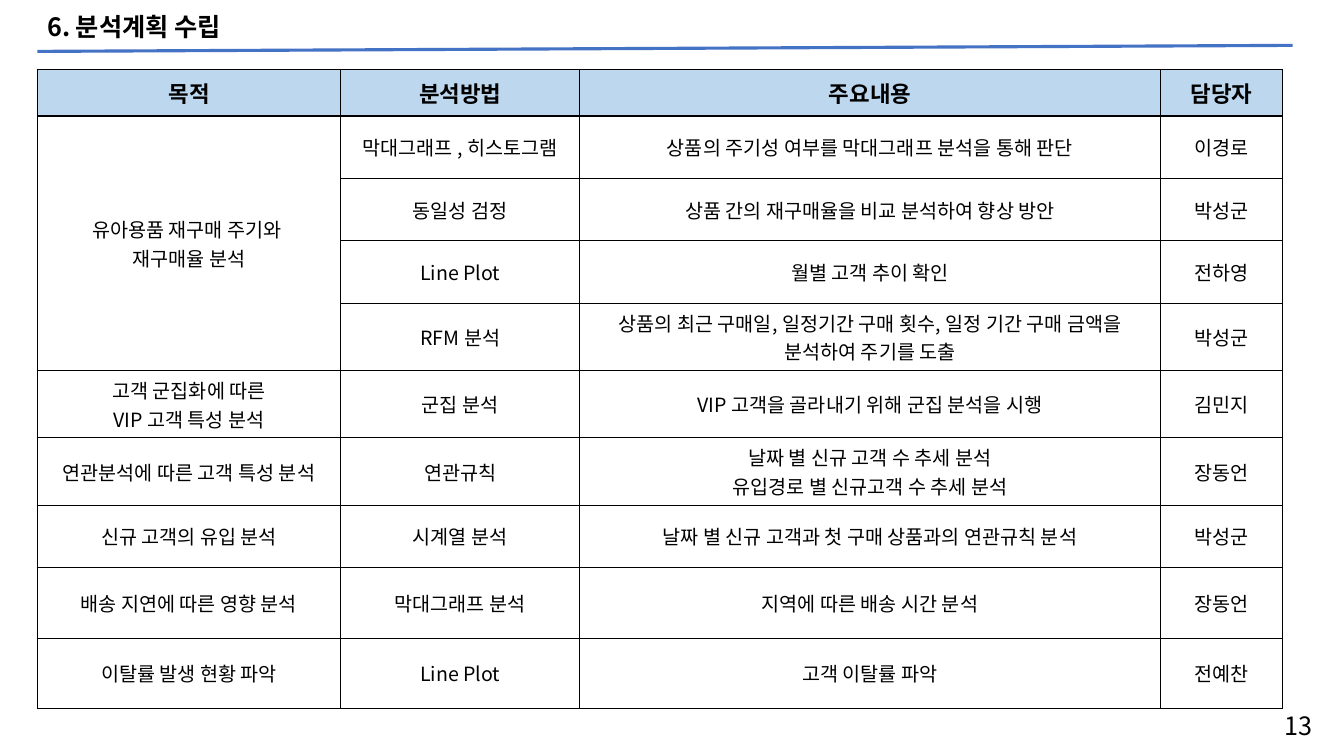
from dataclasses import dataclass

from lxml import etree
from pptx import Presentation
from pptx.dml.color import RGBColor
from pptx.enum.shapes import MSO_CONNECTOR
from pptx.enum.text import MSO_ANCHOR, PP_ALIGN
from pptx.oxml.ns import qn
from pptx.util import Inches, Pt

STRAIGHT = MSO_CONNECTOR.STRAIGHT
TOP, MIDDLE = MSO_ANCHOR.TOP, MSO_ANCHOR.MIDDLE
LEFT, CENTER, RIGHT = PP_ALIGN.LEFT, PP_ALIGN.CENTER, PP_ALIGN.RIGHT


@dataclass(frozen=True)
class Theme:
    font: str = "Noto Sans CJK KR"
    ink: str = "000000"
    rule: str = "4472C4"
    header: str = "BDD7EE"
    title_size: int = 18
    header_size: int = 16
    body_size: int = 14
    rule_width: float = 2.25
    border_width: float = 1


@dataclass(frozen=True)
class Label:
    text: str
    left: float
    top: float
    width: float
    height: float
    align: PP_ALIGN
    anchor: MSO_ANCHOR
    bold: bool = False
    spacing: float = 1.0


@dataclass(frozen=True)
class Task:
    purpose: str
    method: str
    content: str
    owner: str
    height: float = 0.62
    purpose_rows: int = 1

    def texts(self) -> tuple:
        return self.purpose, self.method, self.content, self.owner


THEME = Theme()
COLUMNS = (3.01, 2.37, 5.76, 1.21)
HEADER = Task("목적", "분석방법", "주요내용", "담당자", 0.46)
TASKS = (
    Task("유아용품 재구매 주기와 \n재구매율 분석", "막대그래프 , 히스토그램",
         "상품의 주기성 여부를 막대그래프 분석을 통해 판단", "이경로", purpose_rows=4),
    Task("", "동일성 검정", "상품 간의 재구매율을 비교 분석하여 향상 방안", "박성군"),
    Task("", "Line Plot", "월별 고객 추이 확인", "전하영"),
    Task("", "RFM 분석",
         "상품의 최근 구매일, 일정기간 구매 횟수, 일정 기간 구매 금액을 분석하여 주기를 도출",
         "박성군"),
    Task("고객 군집화에 따른\nVIP 고객 특성 분석", "군집 분석",
         "VIP 고객을 골라내기 위해 군집 분석을 시행", "김민지", 0.66),
    Task("연관분석에 따른 고객 특성 분석", "연관규칙",
         "날짜 별 신규 고객 수 추세 분석\n유입경로 별 신규고객 수 추세 분석", "장동언", 0.66),
    Task("신규 고객의 유입 분석", "시계열 분석",
         "날짜 별 신규 고객과 첫 구매 상품과의 연관규칙 분석", "박성군"),
    Task("배송 지연에 따른 영향 분석", "막대그래프 분석",
         "지역에 따른 배송 시간 분석", "장동언", 0.7),
    Task("이탈률 발생 현황 파악", "Line Plot", "고객 이탈률 파악", "전예찬", 0.7),
)
LABELS = (
    Label("6. 분석계획 수립", 0.37, 0.08, 9.14, 0.41, LEFT, MIDDLE, True, 0.9),
    Label("13", 12.14, 7, 0.98, 0.41, RIGHT, TOP),
)


def write(tf, text: str, size: int, bold: bool, align: PP_ALIGN, spacing: float = 1.0) -> None:
    for i, line in enumerate(text.split("\n")):
        p = tf.add_paragraph() if i else tf.paragraphs[0]
        p.alignment = align
        p.line_spacing = spacing
        r = p.add_run()
        r.text = line
        r.font.size = Pt(size)
        r.font.bold = bold
        r.font.color.rgb = RGBColor.from_string(THEME.ink)
        r.font.name = THEME.font
        etree.SubElement(r.font._element, qn("a:ea"), typeface=THEME.font)


def add_label(s, label: Label) -> None:
    sp = s.shapes.add_textbox(Inches(label.left), Inches(label.top),
                              Inches(label.width), Inches(label.height))
    tf = sp.text_frame
    tf.word_wrap = True
    tf.vertical_anchor = label.anchor
    write(tf, label.text, THEME.title_size, label.bold, label.align, label.spacing)


def add_rule(s) -> None:
    line = s.shapes.add_connector(STRAIGHT, Inches(0.37), Inches(0.51),
                                  Inches(12.82), Inches(0.45))
    line.line.color.rgb = RGBColor.from_string(THEME.rule)
    line.line.width = Pt(THEME.rule_width)
    etree.SubElement(line._element.spPr, qn("a:effectLst"))


def add_borders(cell) -> None:
    tc_pr = cell._tc.get_or_add_tcPr()
    for side in ("lnL", "lnR", "lnT", "lnB"):
        ln = etree.SubElement(tc_pr, qn(f"a:{side}"), w=str(Pt(THEME.border_width)))
        fill = etree.SubElement(ln, qn("a:solidFill"))
        etree.SubElement(fill, qn("a:srgbClr"), val=THEME.ink)


def add_plan(s) -> None:
    rows = (HEADER, *TASKS)
    height = sum(row.height for row in rows)
    table = s.shapes.add_table(len(rows), len(COLUMNS), Inches(0.37), Inches(0.69),
                               Inches(sum(COLUMNS)), Inches(height)).table
    table.first_row = table.horz_banding = False
    for column, width in zip(table.columns, COLUMNS):
        column.width = Inches(width)
    for i, row in enumerate(rows):
        is_header = row is HEADER
        table.rows[i].height = Inches(row.height)
        for j, text in enumerate(row.texts()):
            cell = table.cell(i, j)
            add_borders(cell)
            cell.vertical_anchor = MIDDLE
            if is_header:
                cell.fill.solid()
                cell.fill.fore_color.rgb = RGBColor.from_string(THEME.header)
            else:
                cell.fill.background()
            if text:
                size = THEME.header_size if is_header else THEME.body_size
                write(cell.text_frame, text, size, is_header, CENTER)
        if row.purpose_rows > 1:
            table.cell(i, 0).merge(table.cell(i + row.purpose_rows - 1, 0))


def main() -> None:
    """Build the analysis plan slide."""
    prs = Presentation()
    prs.slide_width, prs.slide_height = Inches(13.33), Inches(7.5)
    s = prs.slides.add_slide(prs.slide_layouts[6])
    add_rule(s)
    add_plan(s)
    for label in LABELS:
        add_label(s, label)
    prs.save("out.pptx")


if __name__ == "__main__":
    main()
